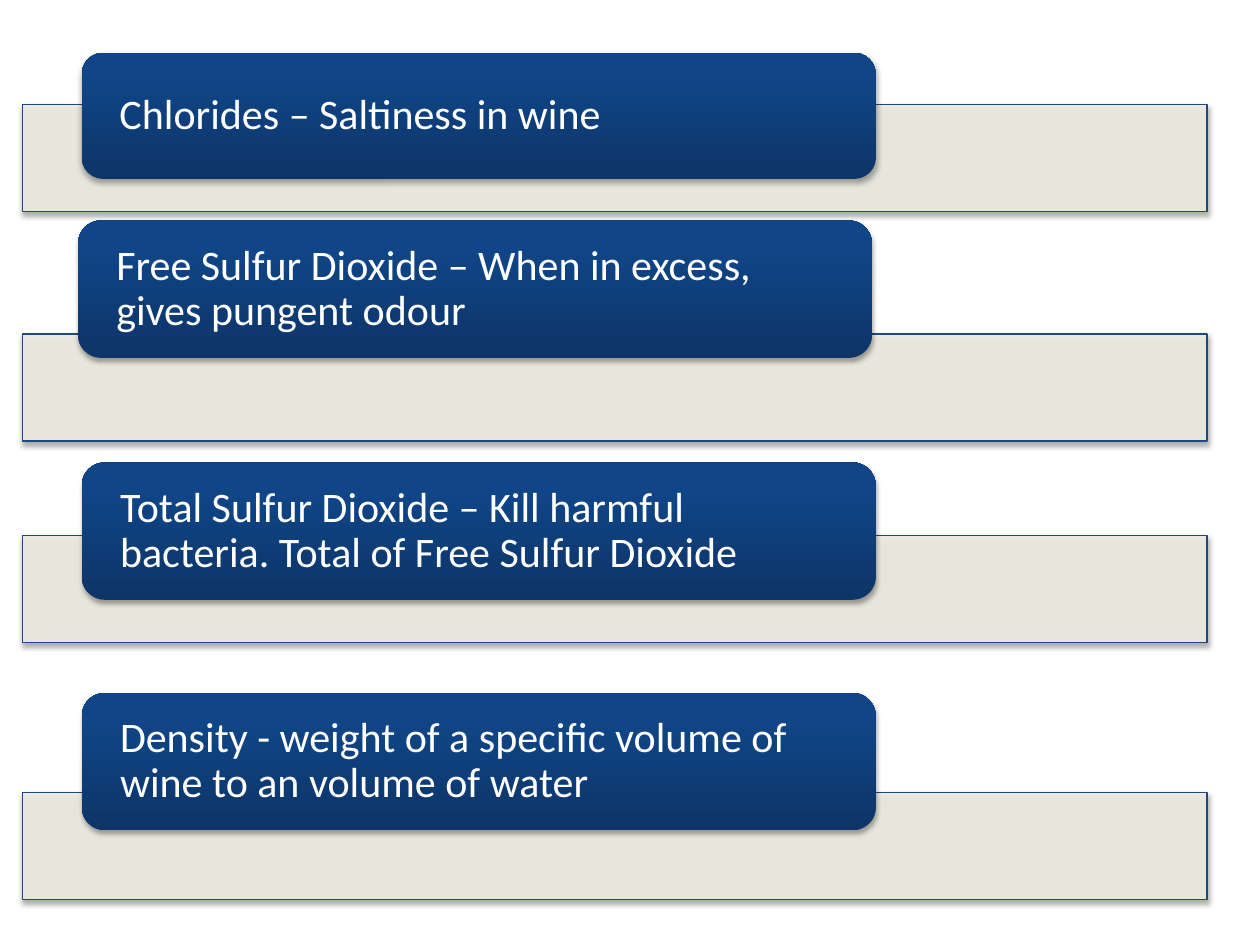
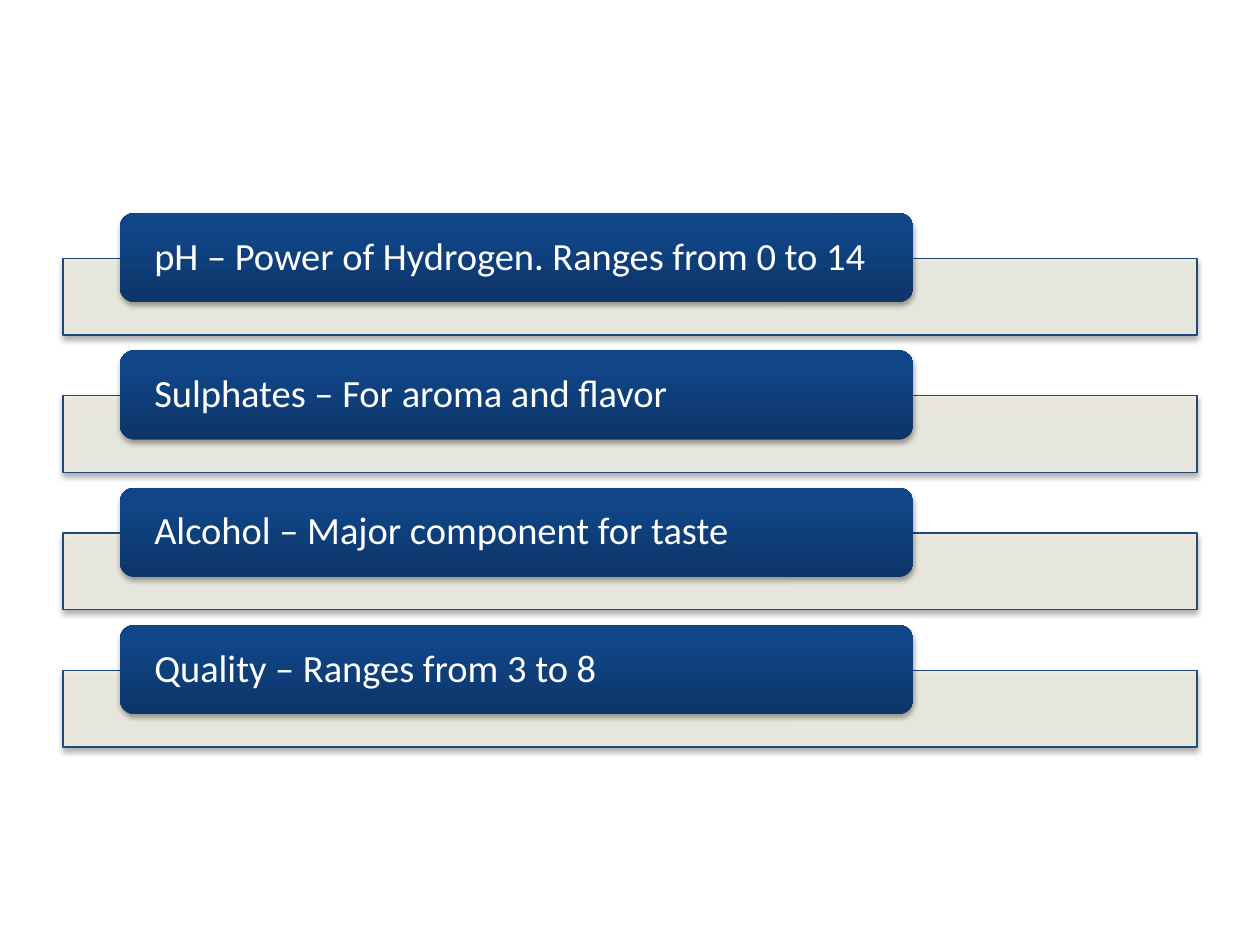
from copy import deepcopy

from lxml import etree
from pptx import Presentation
from pptx.dml.color import RGBColor
from pptx.enum.shapes import MSO_SHAPE
from pptx.enum.text import MSO_ANCHOR, PP_ALIGN
from pptx.oxml.ns import qn
from pptx.util import Inches, Pt

RECTANGLE = MSO_SHAPE.RECTANGLE
ROUNDED = MSO_SHAPE.ROUNDED_RECTANGLE
MIDDLE = MSO_ANCHOR.MIDDLE
LEFT = PP_ALIGN.LEFT

FONT = "Calibri"
WHITE = "FFFFFF"
BLACK = "000000"
BAR_FILL = "EEECE1"
BAR_LINE = "1F497D"
CARD_STOPS = [(0, "0D3568"), (0.8, "104587"), (1, "0E458A")]
CARD_WIDTH = 6.3

SULFUR_ROWS = [
    ("Chlorides – Saltiness in wine", 0.83, (0.65, 0.42, CARD_WIDTH, 1)),
    ("Free Sulfur Dioxide – When in excess, gives pungent odour",
     2.65, (0.62, 1.75, CARD_WIDTH, 1.09)),
    ("Total Sulfur Dioxide – Kill harmful bacteria. Total of Free Sulfur Dioxide",
     4.25, (0.65, 3.67, CARD_WIDTH, 1.09)),
    ("Density - weight of a specific volume of wine to an volume of water",
     6.29, (0.65, 5.5, CARD_WIDTH, 1.09)),
]
TASTE_LABELS = [
    "pH – Power of Hydrogen. Ranges from 0 to 14",
    "Sulphates – For aroma and flavor",
    "Alcohol – Major component for taste",
    "Quality – Ranges from 3 to 8",
]


def color(hex_string):
    return RGBColor.from_string(hex_string)


def add_alpha(color_element, percent):
    etree.SubElement(color_element, qn("a:alpha"), val=str(percent * 1000))


def add_shadow(shape):
    shape.shadow.inherit = False
    effects = shape.element.spPr.find(qn("a:effectLst"))
    shadow = etree.SubElement(
        effects, qn("a:outerShdw"), blurRad=str(Pt(3.1)), dist=str(Pt(1.8)),
        dir="5400000", rotWithShape="0")
    add_alpha(etree.SubElement(shadow, qn("a:srgbClr"), val=BLACK), 35)


def add_box(slide, kind, box):
    shape = slide.shapes.add_shape(kind, *(Inches(length) for length in box))
    add_shadow(shape)
    return shape


def add_bar(slide, box):
    bar = add_box(slide, RECTANGLE, box)
    bar.fill.solid()
    bar.fill.fore_color.rgb = color(BAR_FILL)
    add_alpha(bar.element.spPr.find(qn("a:solidFill")).find(qn("a:srgbClr")), 90)
    bar.line.color.rgb = color(BAR_LINE)
    bar.line.width = Pt(0.75)


def fill_card(card):
    card.fill.gradient()
    card.fill.gradient_angle = 90
    stop_list = card.element.spPr.find(qn("a:gradFill")).find(qn("a:gsLst"))
    stop_list.append(deepcopy(stop_list[0]))
    for stop, (position, hex_string) in zip(card.fill.gradient_stops, CARD_STOPS):
        stop.position = position
        stop.color.rgb = color(hex_string)


def add_card(slide, box, text, size, inset):
    card = add_box(slide, ROUNDED, box)
    fill_card(card)
    card.line.fill.background()
    frame = card.text_frame
    frame.word_wrap = True
    frame.vertical_anchor = MIDDLE
    frame.margin_left = frame.margin_right = Inches(inset)
    frame.margin_top = frame.margin_bottom = 0
    paragraph = frame.paragraphs[0]
    paragraph.text = text
    paragraph.alignment = LEFT
    paragraph.line_spacing = 0.9
    paragraph.font.name = FONT
    paragraph.font.size = Pt(size)
    paragraph.font.color.rgb = color(WHITE)


def add_blank_slide(presentation):
    return presentation.slides.add_slide(presentation.slide_layouts[6])


def add_sulfur_slide(presentation):
    slide = add_blank_slide(presentation)
    for text, bar_top, card_box in SULFUR_ROWS:
        add_bar(slide, (0.18, bar_top, 9.4, 0.85))
        add_card(slide, card_box, text, 24, 0.25)


def add_taste_slide(presentation):
    slide = add_blank_slide(presentation)
    for index, text in enumerate(TASTE_LABELS):
        top = 1.69 + 1.09 * index
        add_bar(slide, (0.5, top + 0.36, 9, 0.61))
        add_card(slide, (0.95, top, CARD_WIDTH, 0.71), text, 22, 0.24)


presentation = Presentation()
presentation.slide_width = Inches(10)
presentation.slide_height = Inches(7.5)
add_sulfur_slide(presentation)
add_taste_slide(presentation)
presentation.save("out.pptx")
